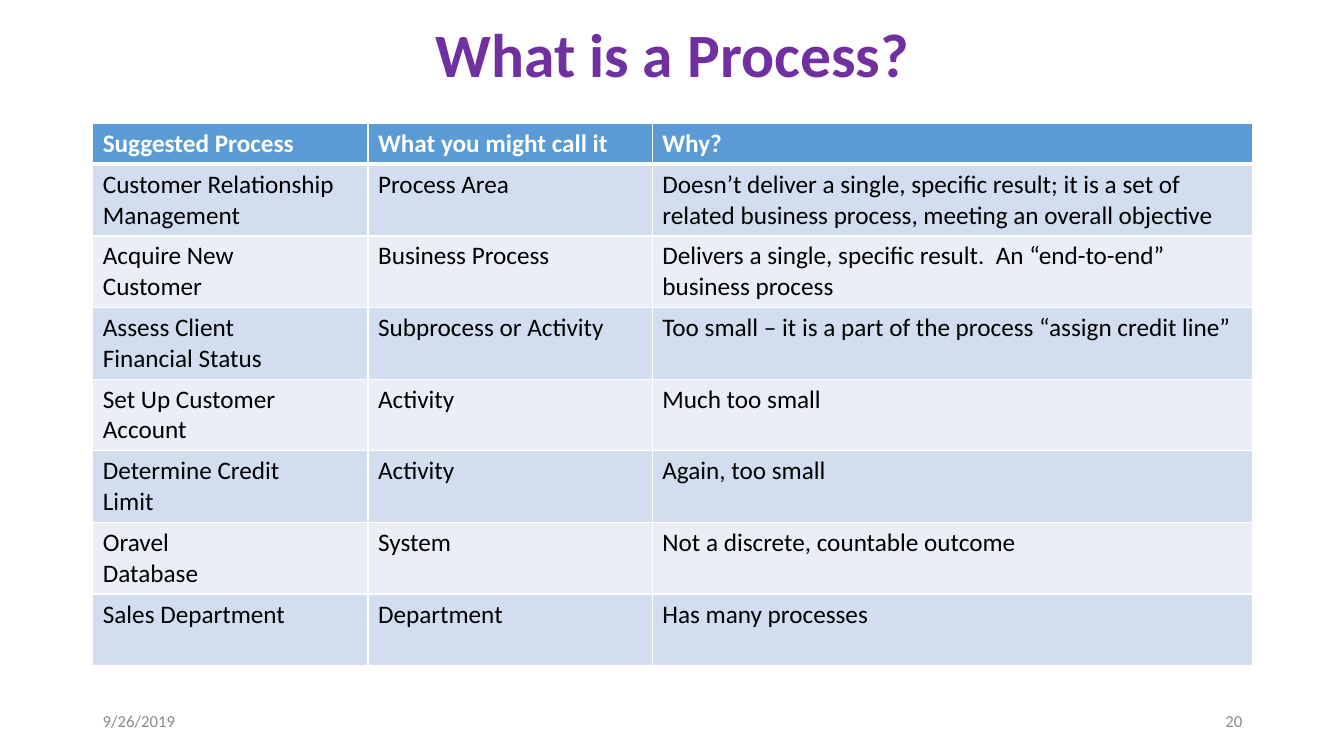
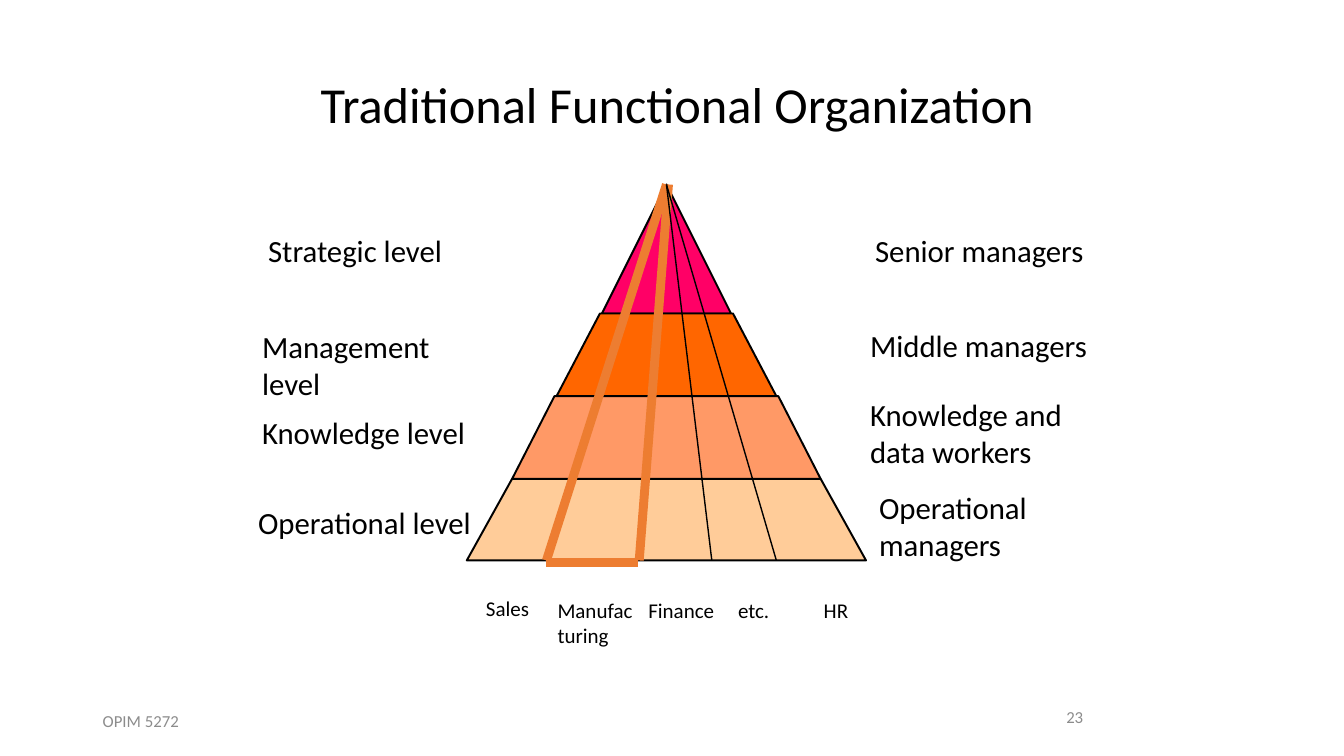
from lxml import etree
from pptx import Presentation
from pptx.dml.color import RGBColor
from pptx.enum.shapes import MSO_CONNECTOR
from pptx.enum.text import MSO_ANCHOR as Anchor, MSO_AUTO_SIZE as AutoSize, PP_ALIGN as Align
from pptx.oxml.ns import qn
from pptx.util import Inches, Pt

FONT = "Calibri"
BLACK, WHITE, GREY, PURPLE = "000000", "FFFFFF", "8C8C8C", "7030A0"
HEADER_BLUE, BANDS = "5B9BD5", ("D2DEEF", "EAEFF7")
HIGHLIGHT = "ED7D31"
FOOTER_LEFT = (0.92, 6.95, 3, 0.4)

COLUMN_WIDTHS = (2.73, 2.82, 5.95)
HEADER_HEIGHT, ROW_HEIGHT = 0.41, 0.71
PROCESS_ROWS = [
    ("Suggested Process", "What you might call it", "Why?"),
    ("Customer Relationship\nManagement", "Process Area",
     "Doesn’t deliver a single, specific result; it is a set of related business process, "
     "meeting an overall objective"),
    ("Acquire New\nCustomer", "Business Process",
     "Delivers a single, specific result.  An “end-to-end” business process"),
    ("Assess Client\nFinancial Status", "Subprocess or Activity",
     "Too small – it is a part of the process “assign credit line”"),
    ("Set Up Customer\nAccount", "Activity", "Much too small"),
    ("Determine Credit\nLimit", "Activity", "Again, too small"),
    ("Oravel\nDatabase", "System", "Not a discrete, countable outcome"),
    ("Sales Department", "Department", "Has many processes"),
]

# Tiers: top, bottom, half width at top, half width at bottom, measured from the apex
TIERS = [
    (2.92, 3.73, 1.53, 1.98, "FFCC99"),
    (0, 1.28, 0, 0.64, "FF0066"),
    (1.28, 2.1, 0.66, 1.09, "FF6600"),
    (2.1, 2.92, 1.11, 1.53, "FF9966"),
]
# Lines from the base to the apex: offset at base, offset at apex, colour, width
DIVIDERS = [
    (-1.19, 0, HIGHLIGHT, 6.38),
    (-0.27, 0.02, HIGHLIGHT, 6.38),
    (0.45, 0, BLACK, 1),
    (1.09, 0, BLACK, 1),
]
LEVEL_LABELS = [
    (2.66, 2.3, "Strategic level"),
    (2.6, 3.25, "Management level"),
    (2.6, 4.1, "Knowledge level"),
    (2.56, 5, "Operational level"),
    (8.68, 2.3, "Senior managers"),
    (8.63, 3.24, "Middle managers"),
    (8.63, 3.93, "Knowledge and\ndata workers"),
    (8.72, 4.85, "Operational\nmanagers"),
]
FUNCTION_LABELS = [
    (4.82, 5.91, "Sales"),
    (5.53, 5.93, "Manufac\nturing"),
    (6.43, 5.93, "Finance"),
    (7.32, 5.93, "etc."),
    (8.17, 5.93, "HR"),
]


def rgb(value):
    return RGBColor.from_string(value)


def write(frame, text, size, color=BLACK, bold=False, align=Align.LEFT):
    """Fill a text frame, one paragraph for each line of text."""
    for index, line in enumerate(text.split("\n")):
        para = frame.add_paragraph() if index else frame.paragraphs[0]
        para.alignment = align
        span = para.add_run()
        span.text = line
        span.font.name, span.font.size, span.font.bold = FONT, Pt(size), bold
        span.font.color.rgb = rgb(color)


def clear_margins(frame):
    frame.margin_left = frame.margin_top = frame.margin_right = frame.margin_bottom = 0


def add_title(page, box, text, size, color, bold, align, anchor):
    title = page.shapes.title
    title.left, title.top, title.width, title.height = map(Inches, box)
    frame = title.text_frame
    frame.auto_size, frame.vertical_anchor = AutoSize.NONE, anchor
    write(frame, text, size, color, bold, align)
    return frame


def add_footer(page, box, text, align=Align.LEFT):
    frame = page.shapes.add_textbox(*map(Inches, box)).text_frame
    frame.word_wrap, frame.vertical_anchor = True, Anchor.MIDDLE
    write(frame, text, 12, GREY, align=align)


def add_labels(page, labels, size):
    for left, top, text in labels:
        lines = text.count("\n") + 1
        box = page.shapes.add_textbox(Inches(left), Inches(top), Inches(2.3),
                                      Inches(lines * size / 60))
        frame = box.text_frame
        frame.word_wrap = False
        clear_margins(frame)
        write(frame, text, size)


def add_line(page, start, end, color, width):
    line = page.shapes.add_connector(MSO_CONNECTOR.STRAIGHT, *map(Inches, (*start, *end)))
    line.line.color.rgb, line.line.width = rgb(color), Pt(width)
    etree.SubElement(line._element.spPr, qn("a:effectLst"))


def set_borders(cell, bottom):
    props = cell._tc.get_or_add_tcPr()
    for side, width in (("L", 1), ("R", 1), ("T", 1), ("B", bottom)):
        edge = etree.SubElement(props, qn(f"a:ln{side}"), w=str(Pt(width)))
        fill = etree.SubElement(edge, qn("a:solidFill"))
        etree.SubElement(fill, qn("a:srgbClr"), val=WHITE)


def add_process_table(page, left, top):
    count = len(PROCESS_ROWS)
    height = HEADER_HEIGHT + ROW_HEIGHT * (count - 1)
    table = page.shapes.add_table(count, len(COLUMN_WIDTHS), Inches(left), Inches(top),
                                  Inches(sum(COLUMN_WIDTHS)), Inches(height)).table
    for column, width in zip(table.columns, COLUMN_WIDTHS):
        column.width = Inches(width)
    for r, texts in enumerate(PROCESS_ROWS):
        header = r == 0
        table.rows[r].height = Inches(HEADER_HEIGHT if header else ROW_HEIGHT)
        for c, text in enumerate(texts):
            cell = table.cell(r, c)
            set_borders(cell, 3 if header else 1)
            cell.fill.solid()
            cell.fill.fore_color.rgb = rgb(HEADER_BLUE if header else BANDS[(r - 1) % 2])
            write(cell.text_frame, text, 18, WHITE if header else BLACK, header)


def add_pyramid(page, x, y):
    """Draw the tiers and dividers below an apex at x, y."""
    for top, bottom, half_top, half_bottom, color in TIERS:
        corners = [(-half_bottom, bottom), (-half_top, top), (half_top, top),
                   (half_bottom, bottom)]
        points = [(Inches(x + dx), Inches(y + dy)) for dx, dy in corners]
        outline = page.shapes.build_freeform(*points[0])
        outline.add_line_segments(points[1:], close=True)
        tier = outline.convert_to_shape()
        tier.shadow.inherit = False
        tier.fill.solid()
        tier.fill.fore_color.rgb = rgb(color)
        tier.line.color.rgb, tier.line.width = rgb(BLACK), Pt(1.38)
    base = y + 3.73
    for at_base, at_apex, color, width in DIVIDERS:
        add_line(page, (x + at_base, base), (x + at_apex, y), color, width)
    add_line(page, (x - 1.19, base + 0.02), (x - 0.28, base + 0.02), HIGHLIGHT, 6.25)


def build_process_slide(page):
    frame = add_title(page, (0.92, 0.12, 11.5, 0.91), "What is a Process?", 44, PURPLE, True,
                      Align.CENTER, Anchor.MIDDLE)
    frame.paragraphs[0].line_spacing = 0.9
    add_process_table(page, 0.92, 1.22)
    add_footer(page, FOOTER_LEFT, "9/26/2019")
    add_footer(page, (9.42, 6.95, 3, 0.4), "20", Align.RIGHT)


def build_organization_slide(page):
    frame = add_title(page, (3.18, 0.73, 7.22, 0.6), "Traditional Functional Organization", 36,
                      BLACK, False, Align.LEFT, Anchor.TOP)
    clear_margins(frame)
    add_pyramid(page, 6.61, 1.83)
    add_labels(page, LEVEL_LABELS, 22)
    add_labels(page, FUNCTION_LABELS, 15)
    add_footer(page, FOOTER_LEFT, "OPIM 5272")
    add_footer(page, (8.41, 6.91, 4.5, 0.4), "23", Align.CENTER)


def main():
    deck = Presentation()
    deck.slide_width, deck.slide_height = Inches(13.33), Inches(7.5)
    title_only = deck.slide_layouts[5]
    for build in (build_process_slide, build_organization_slide):
        build(deck.slides.add_slide(title_only))
    deck.save("out.pptx")


if __name__ == "__main__":
    main()
